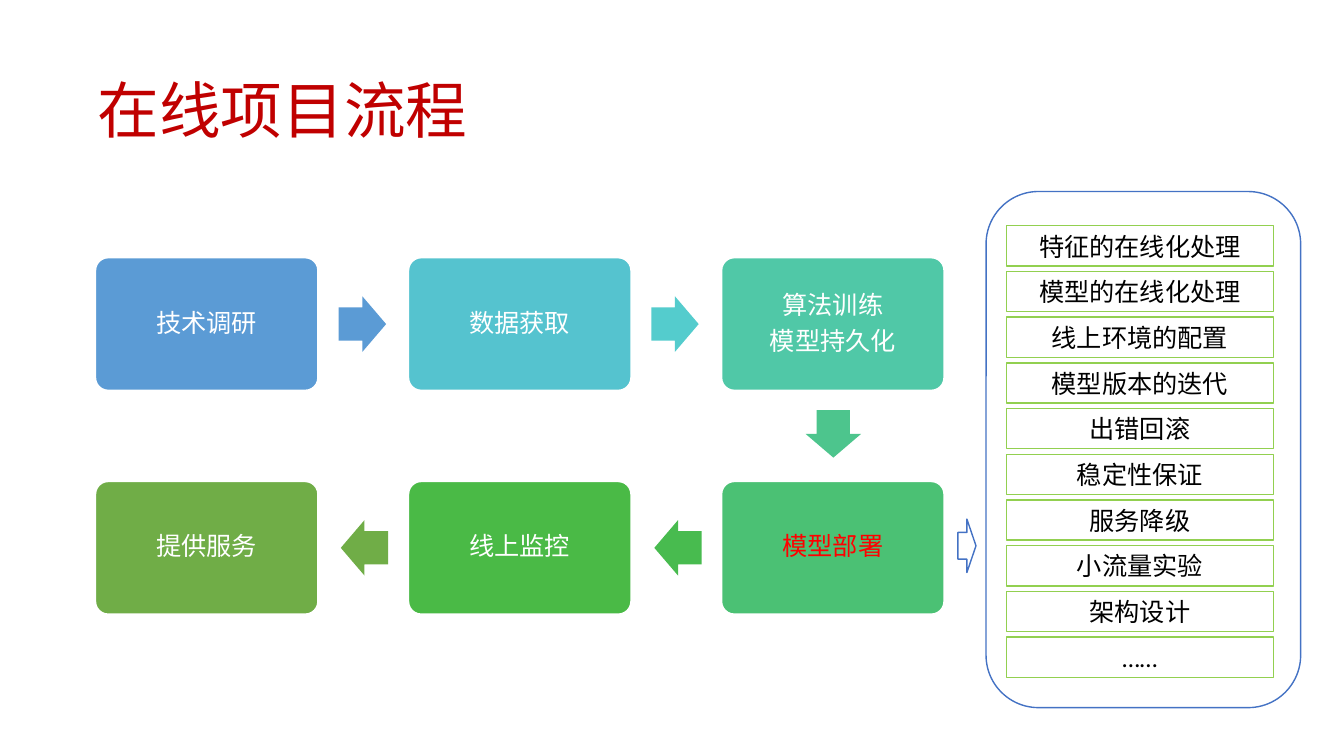
"""Build the online project workflow slide."""
from pptx import Presentation
from pptx.dml.color import RGBColor
from pptx.enum.shapes import MSO_SHAPE as SHAPE
from pptx.enum.text import MSO_ANCHOR as ANCHOR, MSO_AUTO_SIZE as AUTO_SIZE, PP_ALIGN as ALIGN
from pptx.util import Inches, Pt

WHITE = RGBColor(0xFF, 0xFF, 0xFF)
BLACK = RGBColor(0x00, 0x00, 0x00)
RED = RGBColor(0xFF, 0x00, 0x00)
DARK_RED = RGBColor(0xC0, 0x00, 0x00)
BLUE = RGBColor(0x44, 0x72, 0xC4)
LIME = RGBColor(0x92, 0xD0, 0x50)
SKY = RGBColor(0x5B, 0x9B, 0xD5)
CYAN = RGBColor(0x55, 0xC3, 0xCF)
AQUA = RGBColor(0x54, 0xCC, 0xCD)
TEAL = RGBColor(0x50, 0xC8, 0xA7)
MINT = RGBColor(0x4D, 0xC5, 0x8D)
JADE = RGBColor(0x4B, 0xC1, 0x74)
EMERALD = RGBColor(0x48, 0xBB, 0x4F)
GREEN = RGBColor(0x4A, 0xBA, 0x46)
OLIVE = RGBColor(0x70, 0xAD, 0x47)

FONT = "Calibri"
STEP_LEFT, STEP_PITCH, STEP_WIDTH, STEP_HEIGHT = 0.94, 3.105, 2.22, 1.33
TOP_ROW, BOTTOM_ROW = 2.55, 4.77
TASK_TOP, TASK_PITCH = 2.24, 4.08 / 9

STEPS = [
    ("技术调研", 0, TOP_ROW, SKY, WHITE),
    ("数据获取", 1, TOP_ROW, CYAN, WHITE),
    ("算法训练\n模型持久化", 2, TOP_ROW, TEAL, WHITE),
    ("模型部署", 2, BOTTOM_ROW, JADE, RED),
    ("线上监控", 1, BOTTOM_ROW, GREEN, WHITE),
    ("提供服务", 0, BOTTOM_ROW, OLIVE, WHITE),
]
FLOW_ARROWS = [
    (3.36, 2.94, 0, SKY),
    (6.46, 2.94, 0, AQUA),
    (8.03, 4.03, 90, MINT),
    (6.49, 5.16, 180, EMERALD),
    (3.38, 5.16, 180, OLIVE),
]
DEPLOYMENT_TASKS = [
    "特征的在线化处理", "模型的在线化处理", "线上环境的配置", "模型版本的迭代", "出错回滚",
    "稳定性保证", "服务降级", "小流量实验", "架构设计", "……",
]


def add_figure(slide, kind, left, top, width, height, fill=None, line=None, weight=1):
    """Add a flat preset shape with optional fill and outline."""
    figure = slide.shapes.add_shape(
        kind, Inches(left), Inches(top), Inches(width), Inches(height))
    figure.shadow.inherit = False
    if fill is None:
        figure.fill.background()
    else:
        figure.fill.solid()
        figure.fill.fore_color.rgb = fill
    if line is None:
        figure.line.fill.background()
    else:
        figure.line.color.rgb = line
        figure.line.width = Pt(weight)
    return figure


def write(figure, text, size, color, align, inset, spacing=1.0, after=0):
    """Write vertically centred text into a shape."""
    frame = figure.text_frame
    frame.text = text
    frame.word_wrap = True
    frame.vertical_anchor = ANCHOR.MIDDLE
    frame.margin_left = frame.margin_right = Inches(inset)
    frame.margin_top = frame.margin_bottom = Inches(inset)
    for paragraph in frame.paragraphs:
        paragraph.alignment = align
        paragraph.line_spacing = spacing
        paragraph.space_after = Pt(after)
        paragraph.font.name = FONT
        paragraph.font.size = Pt(size)
        paragraph.font.color.rgb = color


def add_title(slide, text):
    """Add the slide heading."""
    title = slide.shapes.add_textbox(Inches(0.92), Inches(0.4), Inches(11.5), Inches(1.45))
    write(title, text, 44, DARK_RED, ALIGN.LEFT, 0.05, spacing=0.9)


def add_step(slide, text, column, top, fill, color):
    """Add one rounded workflow step."""
    step = add_figure(slide, SHAPE.ROUNDED_RECTANGLE, STEP_LEFT + column * STEP_PITCH, top,
                      STEP_WIDTH, STEP_HEIGHT, fill, WHITE, 2)
    step.adjustments[0] = 0.1
    write(step, text, 18, color, ALIGN.CENTER, 0.1, spacing=0.9, after=6.3)


def add_flow_arrow(slide, left, top, rotation, fill):
    """Add a block arrow between two steps."""
    arrow = add_figure(slide, SHAPE.RIGHT_ARROW, left, top, 0.47, 0.55, fill)
    arrow.adjustments[0] = 0.6
    arrow.adjustments[1] = 0.5
    arrow.rotation = rotation


def add_task(slide, row, text):
    """Add one outlined deployment task."""
    task = add_figure(slide, SHAPE.RECTANGLE, 9.98, TASK_TOP + row * TASK_PITCH,
                      2.65, 0.4, line=LIME)
    write(task, text, 18, BLACK, ALIGN.CENTER, 0.05)
    task.text_frame.auto_size = AUTO_SIZE.SHAPE_TO_FIT_TEXT


def main():
    """Assemble and save the slide."""
    deck = Presentation()
    deck.slide_width, deck.slide_height = Inches(13.33), Inches(7.5)
    slide = deck.slides.add_slide(deck.slide_layouts[6])
    add_figure(slide, SHAPE.ROUNDED_RECTANGLE, 9.78, 1.9, 3.12, 5.12, WHITE, BLUE)
    add_title(slide, "在线项目流程")
    for step in STEPS:
        add_step(slide, *step)
    for arrow in FLOW_ARROWS:
        add_flow_arrow(slide, *arrow)
    for row, task in enumerate(DEPLOYMENT_TASKS):
        add_task(slide, row, task)
    add_figure(slide, SHAPE.RIGHT_ARROW, 9.5, 5.15, 0.18, 0.53, WHITE, BLUE)
    deck.save("out.pptx")


if __name__ == "__main__":
    main()
